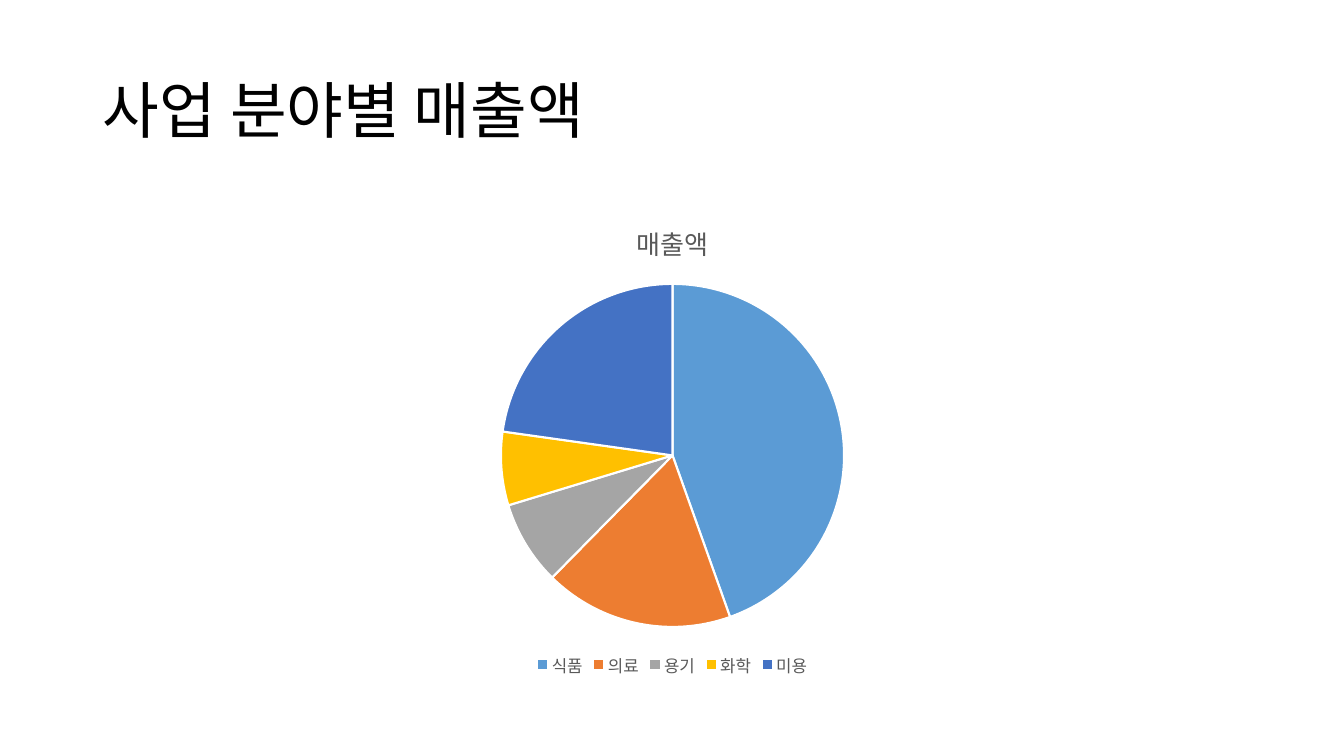
from dataclasses import dataclass

from lxml import etree
from pptx import Presentation
from pptx import util as u
from pptx.chart import data as chart_data
from pptx.dml import color as dml
from pptx.enum import chart as charts, text
from pptx.oxml import ns


@dataclass(frozen=True)
class Theme:
    font: str = "Noto Sans CJK KR"
    ink: str = "000000"
    muted: str = "595959"
    white: str = "FFFFFF"
    slices: tuple = ("5B9BD5", "ED7D31", "A5A5A5", "FFC000", "4472C4")
    title_size: float = 44
    chart_title_size: float = 18.6
    legend_size: float = 12
    chart_size: float = 10


THEME = Theme()
SALES = {"식품": 45, "의료": 18, "용기": 8, "화학": 7, "미용": 23}


def rgb(value):
    return dml.RGBColor.from_string(value)


def format_font(font, size, color):
    font.size = u.Pt(size)
    font.bold = False
    font.color.rgb = rgb(color)
    font.name = THEME.font
    etree.SubElement(font._element, ns.qn("a:ea"), typeface=THEME.font)


def write_text(frame, words, size, color, align=text.PP_ALIGN.LEFT, line_spacing=None):
    paragraph = frame.paragraphs[0]
    paragraph.alignment = align
    paragraph.line_spacing = line_spacing
    run = paragraph.add_run()
    run.text = words
    format_font(run.font, size, color)


def place_title(slide, left, top, width, height):
    heading = slide.shapes.title
    heading.left, heading.top = u.Inches(left), u.Inches(top)
    heading.width, heading.height = u.Inches(width), u.Inches(height)
    frame = heading.text_frame
    frame.word_wrap = True
    frame.auto_size = text.MSO_AUTO_SIZE.NONE
    frame.vertical_anchor = text.MSO_ANCHOR.MIDDLE
    write_text(frame, "사업 분야별 매출액", THEME.title_size, THEME.ink, line_spacing=0.9)


def place_sales_pie(slide, left, top, width, height):
    sales_data = chart_data.CategoryChartData()
    sales_data.categories = list(SALES)
    sales_data.add_series("매출액", list(SALES.values()))
    pie = slide.shapes.add_chart(
        charts.XL_CHART_TYPE.PIE,
        u.Inches(left), u.Inches(top), u.Inches(width), u.Inches(height),
        sales_data,
    ).chart
    format_font(pie.font, THEME.chart_size, THEME.ink)

    pie.has_title = True
    pie.chart_title.include_in_layout = False
    write_text(pie.chart_title.text_frame, "매출액", THEME.chart_title_size,
               THEME.muted, align=text.PP_ALIGN.CENTER)

    pie.has_legend = True
    pie.legend.position = charts.XL_LEGEND_POSITION.BOTTOM
    pie.legend.include_in_layout = False
    format_font(pie.legend.font, THEME.legend_size, THEME.muted)

    plot = pie.plots[0]
    plot.vary_by_categories = True
    for index, color in enumerate(THEME.slices):
        sector = plot.series[0].points[index].format
        sector.fill.solid()
        sector.fill.fore_color.rgb = rgb(color)
        sector.line.color.rgb = rgb(THEME.white)
        sector.line.width = u.Pt(1.5)


def main():
    deck = Presentation()
    deck.slide_width, deck.slide_height = u.Inches(13.33), u.Inches(7.5)
    slide = deck.slides.add_slide(deck.slide_layouts.get_by_name("Title Only"))
    slide.background.fill.solid()
    slide.background.fill.fore_color.rgb = rgb(THEME.white)
    margin, content_width = 0.92, 11.5
    place_title(slide, margin, 0.4, content_width, 1.45)
    place_sales_pie(slide, margin, 2, content_width, 4.76)
    deck.save("out.pptx")


if __name__ == "__main__":
    main()
